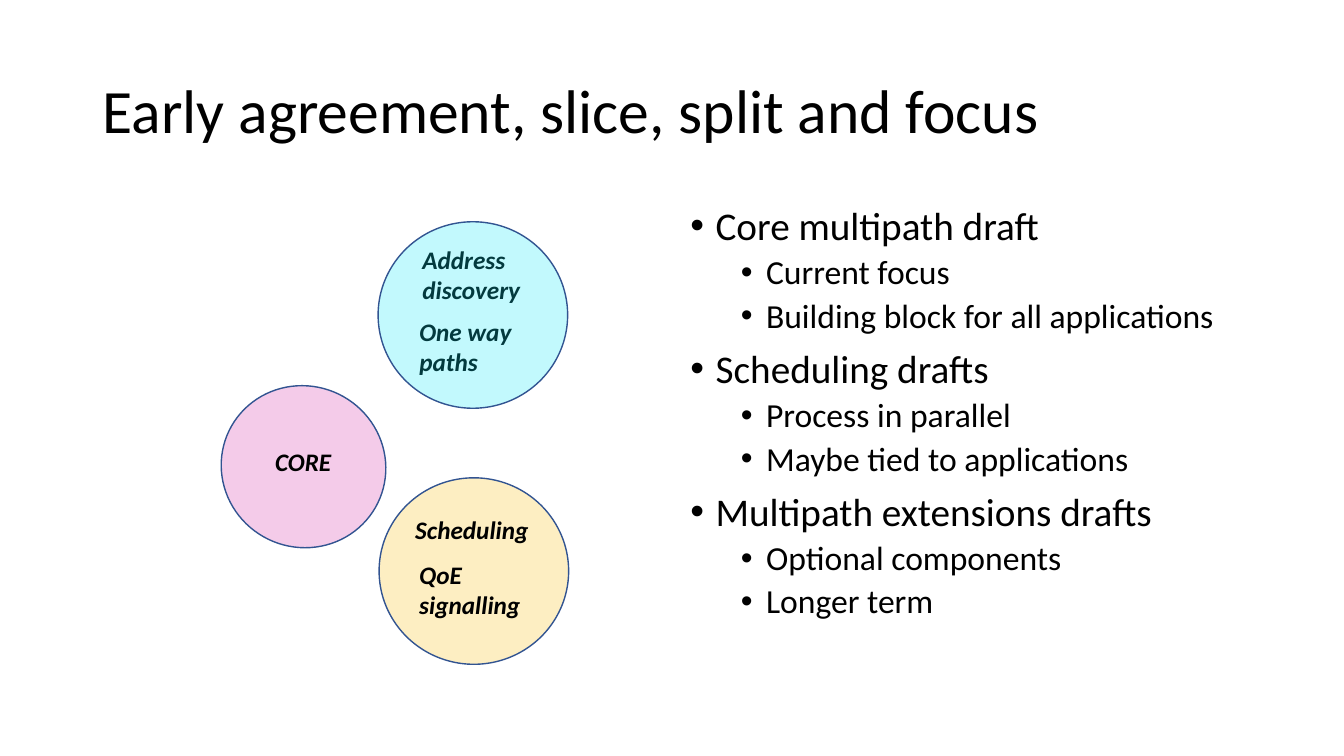
from dataclasses import dataclass
from typing import Any

from lxml import etree
from pptx import Presentation
from pptx.dml.color import RGBColor
from pptx.enum.shapes import MSO_SHAPE
from pptx.enum.text import MSO_ANCHOR
from pptx.oxml.ns import qn
from pptx.util import Inches, Length, Pt

ELLIPSE = MSO_SHAPE.OVAL
TOP, MIDDLE = MSO_ANCHOR.TOP, MSO_ANCHOR.MIDDLE
BLANK_LAYOUT = 6
CELL = 0.25  # inches per grid column and row


@dataclass(frozen=True)
class Theme:
    font: str = "Calibri"
    text: str = "000000"
    outline: str = "325491"
    core: str = "D731A8"
    discovery: str = "0DEAFB"
    scheduling: str = "FBBD0D"
    opacity: int = 25
    title_size: int = 44
    topic_size: int = 28
    detail_size: int = 24
    label_size: int = 18


@dataclass(frozen=True)
class Box:
    """Columns and rows of the grid."""
    column: float
    row: float
    columns: float
    rows: float

    def lengths(self) -> list[Length]:
        return [Inches(cells * CELL)
                for cells in (self.column, self.row, self.columns, self.rows)]


@dataclass(frozen=True)
class Circle:
    box: Box
    color: str
    rotation: float = 0


@dataclass(frozen=True)
class Label:
    text: str
    box: Box


@dataclass(frozen=True)
class Topic:
    text: str
    details: tuple[str, ...]


THEME = Theme()
TITLE = Label("Early agreement, slice, split and focus", Box(3.68, 1.6, 46, 5.8))
OUTLINE_BOX = Box(27, 8, 22.68, 19.04)

BACK_CIRCLES = (
    Circle(Box(15.04, 18.96, 7.52, 7.4), THEME.scheduling),
    Circle(Box(8.84, 15.24, 6.4, 6.56), THEME.core, rotation=115.9),
)
FRONT_CIRCLE = Circle(Box(15, 8.8, 7.52, 7.4), THEME.discovery)

LABELS = (
    Label("CORE", Box(10.52, 17.52, 3.64, 1.6)),
    Label("Address discovery", Box(16.36, 9.48, 5.12, 2.84)),
    Label("One way paths", Box(16.24, 12.36, 5.4, 2.84)),
    Label("Scheduling", Box(16.08, 20.2, 5.48, 1.6)),
    Label("QoE signalling", Box(16.24, 22, 5.72, 2.84)),
)

TOPICS = (
    Topic("Core multipath draft",
          ("Current focus", "Building block for all applications")),
    Topic("Scheduling drafts",
          ("Process in parallel", "Maybe tied to applications")),
    Topic("Multipath extensions drafts",
          ("Optional components", "Longer term")),
)


def add_frame(slide: Any, box: Box, anchor: Any = TOP) -> Any:
    frame = slide.shapes.add_textbox(*box.lengths()).text_frame
    frame.word_wrap = True
    frame.vertical_anchor = anchor
    return frame


def write(paragraph: Any, text: str, *, size: int, emphasis: bool = False,
          spacing: float = 1, before: float = 0) -> None:
    run = paragraph.add_run()
    run.text = text
    run.font.name = THEME.font
    run.font.size = Pt(size)
    run.font.color.rgb = RGBColor.from_string(THEME.text)
    run.font.bold = run.font.italic = emphasis
    paragraph.line_spacing = spacing
    paragraph.space_before = Pt(before)


def add_bullet(paragraph: Any, indent: float) -> None:
    properties = paragraph._p.get_or_add_pPr()
    properties.set("marL", str(Inches(indent)))
    properties.set("indent", str(-Inches(CELL)))
    etree.SubElement(properties, qn("a:buFont"), typeface="Arial")
    etree.SubElement(properties, qn("a:buChar"), char="•")


def add_circle(slide: Any, circle: Circle) -> None:
    shape = slide.shapes.add_shape(ELLIPSE, *circle.box.lengths())
    shape.shadow.inherit = False
    shape.rotation = circle.rotation
    shape.fill.solid()
    shape.fill.fore_color.rgb = RGBColor.from_string(circle.color)
    color = shape._element.spPr.find(qn("a:solidFill"))[0]
    etree.SubElement(color, qn("a:alpha"), val=str(THEME.opacity * 1000))
    shape.line.color.rgb = RGBColor.from_string(THEME.outline)
    shape.line.width = Pt(1)


def add_label(slide: Any, label: Label) -> None:
    frame = add_frame(slide, label.box)
    write(frame.paragraphs[0], label.text, size=THEME.label_size, emphasis=True)


def add_outline(slide: Any, topics: tuple[Topic, ...]) -> None:
    frame = add_frame(slide, OUTLINE_BOX)
    paragraph = frame.paragraphs[0]
    for index, topic in enumerate(topics):
        if index:
            paragraph = frame.add_paragraph()
        write(paragraph, topic.text, size=THEME.topic_size, spacing=0.9, before=10)
        add_bullet(paragraph, 0.25)
        for detail in topic.details:
            paragraph = frame.add_paragraph()
            paragraph.level = 1
            write(paragraph, detail, size=THEME.detail_size, spacing=0.9, before=5)
            add_bullet(paragraph, 0.75)


def main() -> None:
    presentation = Presentation()
    presentation.slide_width = Inches(13.33)
    presentation.slide_height = Inches(7.5)
    slide = presentation.slides.add_slide(presentation.slide_layouts[BLANK_LAYOUT])

    # Title and bulleted outline
    title = add_frame(slide, TITLE.box, MIDDLE)
    write(title.paragraphs[0], TITLE.text, size=THEME.title_size, spacing=0.9)
    add_outline(slide, TOPICS)

    # Circles and labels; the discovery circle tints the labels below it
    for circle in BACK_CIRCLES:
        add_circle(slide, circle)
    for label in LABELS:
        add_label(slide, label)
    add_circle(slide, FRONT_CIRCLE)

    presentation.save("out.pptx")


if __name__ == "__main__":
    main()
